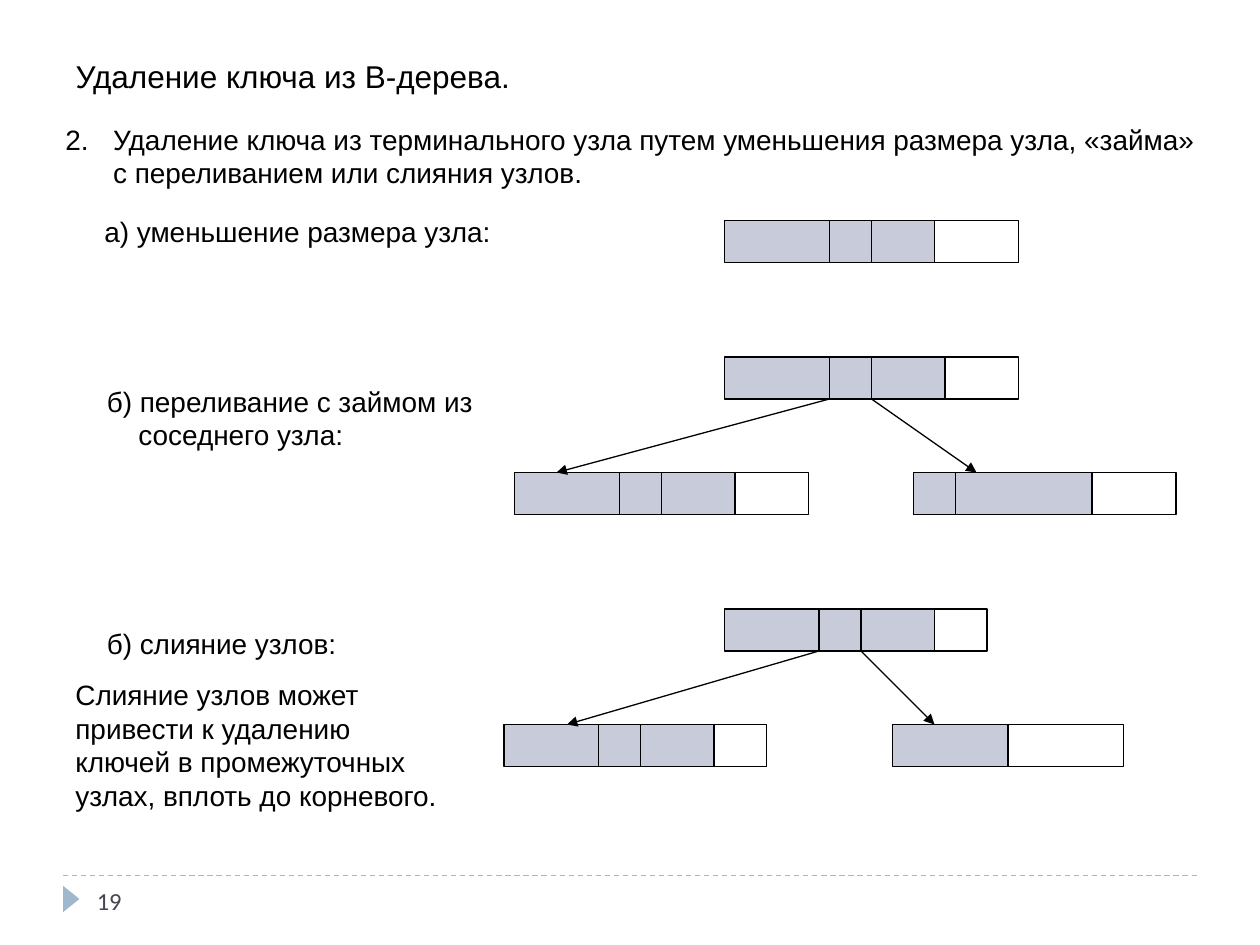
from lxml import etree
from pptx import Presentation, util as u
from pptx.dml.color import RGBColor
from pptx.enum import dml, shapes, text
from pptx.oxml.ns import qn

THEME = {
    "font": "Arial", "number_font": "Calibri",
    "title": 18, "body": 16, "number": 14, "line": 0.75,
    "black": RGBColor(0, 0, 0), "white": RGBColor(255, 255, 255),
    "key": RGBColor(0xC7, 0xCB, 0xDA), "accent": RGBColor(0x9F, 0xB8, 0xCD),
    "muted": RGBColor(0x46, 0x46, 0x53),
}
UNIT = u.Inches(1) / 12  # grid column and row
NODE_H = 4

prs = Presentation()
prs.slide_width, prs.slide_height = u.Inches(10), u.Inches(7.5)
s = prs.slides.add_slide(prs.slide_layouts[5])


def write(sp, box, lines, size="body", font="font", color="black", hang=0, start=None):
    """Place a text shape (inches) and fill it; hang is the hanging indent."""
    sp.left, sp.top, sp.width, sp.height = map(u.Inches, box)
    tf = sp.text_frame
    frame = {"word_wrap": False, "auto_size": text.MSO_AUTO_SIZE.SHAPE_TO_FIT_TEXT,
             "vertical_anchor": text.MSO_ANCHOR.TOP}
    for name, value in frame.items():
        setattr(tf, name, value)
    for i, line in enumerate(lines):
        p = tf.add_paragraph() if i else tf.paragraphs[0]
        p.text = line
        p.alignment = text.PP_ALIGN.LEFT
        if hang:
            pPr = p._p.get_or_add_pPr()
            pPr.set("marL", str(u.Inches(hang)))
            pPr.set("indent", str(-u.Inches(hang)))
            if start:
                etree.SubElement(pPr, qn("a:buAutoNum"), type="arabicPeriod",
                                 startAt=str(start))
        for r in p.runs:
            r.font.name, r.font.size = THEME[font], u.Pt(THEME[size])
            r.font.color.rgb = THEME[color]


def add_line(x1, y1, x2, y2, color):
    """Add a straight line between two grid points."""
    line = s.shapes.add_connector(shapes.MSO_CONNECTOR.STRAIGHT,
                                  *(round(v * UNIT) for v in (x1, y1, x2, y2)))
    line.line.color.rgb, line.line.width = THEME[color], u.Pt(THEME["line"])
    etree.SubElement(line._element.spPr, qn("a:effectLst"))
    return line


# Footer
add_line(6, 83.4, 114, 83.4, "accent").line.dash_style = dml.MSO_LINE.DASH
marker = s.shapes.add_shape(shapes.MSO_SHAPE.ISOSCELES_TRIANGLE,
                            *map(u.Inches, (0.46, 7.07, 0.21, 0.13)))
marker.rotation = 90
marker.shadow.inherit = False
marker.fill.solid()
marker.fill.fore_color.rgb = THEME["accent"]
marker.line.fill.background()
number = s.shapes.add_textbox(0, 0, 0, 0)
write(number, (0.67, 6.95, 2.17, 0.4), ["19"], "number", "number_font", "muted")
number.text_frame.auto_size = text.MSO_AUTO_SIZE.NONE
number.text_frame.vertical_anchor = text.MSO_ANCHOR.MIDDLE

# Title and explanations
write(s.shapes.title, (0.5, 0.4, 3.68, 0.4), ["Удаление ключа из B-дерева."], "title")
notes = [
    ((0.42, 0.92, 9.24, 0.64),
     ["Удаление ключа из терминального узла путем уменьшения размера узла, «займа»\n"
      "с переливанием или слияния узлов."], 0.38, 2),
    ((0.73, 1.65, 3.29, 0.37), ["а) уменьшение размера узла:"], 0, None),
    ((0.75, 3, 3.19, 0.64), ["б) переливание с займом из\nсоседнего узла:"], 0.25, None),
    ((0.75, 4.92, 2.03, 0.37), ["б) слияние узлов:"], 0, None),
    ((0.5, 5.33, 3.09, 1.17),
     ["Слияние узлов может", "привести к удалению", "ключей в промежуточных",
      "узлах, вплоть до корневого."], 0, None),
]
for box, lines, hang, start in notes:
    write(s.shapes.add_textbox(0, 0, 0, 0), box, lines, hang=hang, start=start)

# Tree nodes: left, top, offset and width of the white base, widths of filled parts
nodes = [
    (69, 21, 10, 18, (10, 4, 6)),
    (69, 34, 10, 18, (10, 4, 7)),
    (49, 45, 10, 18, (10, 4, 7)),
    (87, 45, 0, 25, (4, 13)),
    (69, 58, 9, 16, (9, 4, 7)),
    (48, 69, 9, 16, (9, 4, 7)),
    (85, 69, 11, 11, (11,)),
]
for left, top, base, base_w, parts in nodes:
    cells = [(left + base, base_w, "white")]
    cells += [(left + sum(parts[:i]), w, "key") for i, w in enumerate(parts)]
    for x, w, color in cells:
        sp = s.shapes.add_shape(shapes.MSO_SHAPE.RECTANGLE,
                                *(round(v * UNIT) for v in (x, top, w, NODE_H)))
        sp.shadow.inherit = False
        sp.fill.solid()
        sp.fill.fore_color.rgb = THEME[color]
        sp.line.color.rgb, sp.line.width = THEME["black"], u.Pt(THEME["line"])

# Links from parents to children
for x1, y1, x2, y2 in [(79, 38, 53, 45), (83, 38, 93, 45),
                       (78, 62, 54, 69), (82, 62, 89, 69)]:
    link = add_line(x1, y1, x2, y2, "black")
    etree.SubElement(link.line._get_or_add_ln(), qn("a:tailEnd"), type="triangle")

prs.save("out.pptx")
